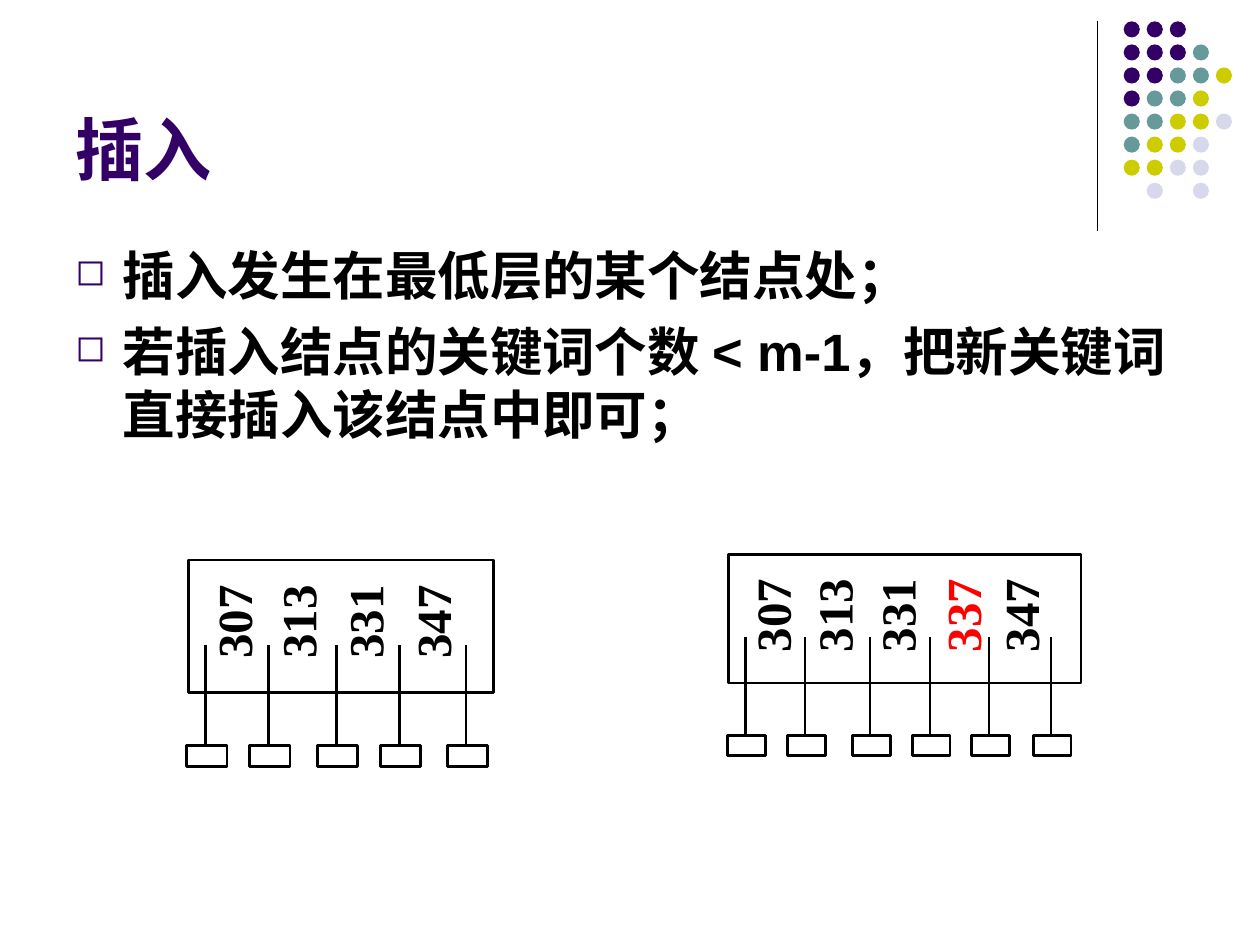
from dataclasses import dataclass

from lxml import etree
from pptx import Presentation
from pptx.dml.color import RGBColor
from pptx.enum import shapes, text
from pptx.oxml import ns
from pptx.util import Pt


@dataclass(frozen=True)
class Theme:
    ink: str = "000000"
    purple: str = "330066"
    teal: str = "669999"
    olive: str = "CCCC00"
    mist: str = "D8D8EC"
    new_key: str = "FF0000"
    sans: str = "Arial"
    serif: str = "Times New Roman"
    title_size: int = 39
    body_size: int = 30
    key_size: int = 28
    rule_width: float = 0.75
    node_width: float = 1.5


class SlideBuilder:
    def __init__(self, slide, theme):
        self.slide = slide
        self.theme = theme

    def dot(self, left, top, size, color):
        dot = self.slide.shapes.add_shape(
            shapes.MSO_SHAPE.OVAL, Pt(left), Pt(top), Pt(size), Pt(size))
        dot.shadow.inherit = False
        dot.fill.solid()
        dot.fill.fore_color.rgb = RGBColor.from_string(color)
        dot.line.fill.background()

    def line(self, start, end, width):
        line = self.slide.shapes.add_connector(
            shapes.MSO_CONNECTOR.STRAIGHT, *map(Pt, start + end))
        line.line.color.rgb = RGBColor.from_string(self.theme.ink)
        line.line.width = Pt(width)
        etree.SubElement(line._element.spPr, ns.qn("a:effectLst"))

    def turned_box(self, x, y, across, down):
        """Outlined box centred on (x, y), turned a quarter to the left."""
        box = self.slide.shapes.add_shape(
            shapes.MSO_SHAPE.RECTANGLE, Pt(x - down / 2), Pt(y - across / 2),
            Pt(down), Pt(across))
        box.rotation = 270
        box.shadow.inherit = False
        box.fill.background()
        box.line.color.rgb = RGBColor.from_string(self.theme.ink)
        box.line.width = Pt(self.theme.node_width)

    def text(self, left, top, width, height, lines, font, size, color):
        box = self.slide.shapes.add_textbox(
            Pt(left), Pt(top), Pt(width), Pt(height))
        frame = box.text_frame
        frame.word_wrap = True
        frame.text = "\n".join(lines)
        for paragraph in frame.paragraphs:
            for run in paragraph.runs:
                run.font.name = font
                run.font.size = Pt(size)
                run.font.bold = True
                run.font.color.rgb = RGBColor.from_string(color)
        return box

    def title(self, wording):
        heading = self.text(36, 9.4, 594, 102.2, [wording], self.theme.sans,
                            self.theme.title_size, self.theme.purple)
        heading.text_frame.vertical_anchor = text.MSO_ANCHOR.BOTTOM

    def bullets(self, points):
        body = self.text(36, 135.4, 648, 347, points, self.theme.sans,
                         self.theme.body_size, self.theme.ink)
        for paragraph in body.text_frame.paragraphs:
            paragraph.space_before = Pt(7.5)
            props = paragraph._p.get_or_add_pPr()
            props.set("marL", str(Pt(27)))
            props.set("indent", str(-Pt(27)))
            color = etree.SubElement(props, ns.qn("a:buClr"))
            etree.SubElement(color, ns.qn("a:srgbClr"), val=self.theme.purple)
            etree.SubElement(props, ns.qn("a:buSzPct"), val="70000")
            etree.SubElement(props, ns.qn("a:buChar"), char="◻")

    def key(self, x, y, length, depth, value, color):
        """Key centred on (x, y), reading upwards."""
        label = self.text(x - length / 2, y - depth / 2, length, depth, [value],
                          self.theme.serif, self.theme.key_size, color)
        label.rotation = 270
        frame = label.text_frame
        frame.margin_left = frame.margin_right = frame.margin_bottom = 0
        frame.margin_top = Pt(4.5)
        paragraph = frame.paragraphs[0]
        paragraph.alignment = text.PP_ALIGN.CENTER
        paragraph.line_spacing = 0.56
        paragraph.space_before = Pt(17.5)

    def node(self, center, size, stems, stem_top, leaf_top, leaf_size,
             keys, key_y, key_box, new_key=None):
        """B-tree node with its keys, pointers and empty leaves."""
        self.turned_box(*center, *size)
        for x in stems:
            self.turned_box(x + 0.8, leaf_top + leaf_size[1] / 2, *leaf_size)
            self.line((x, leaf_top), (x, stem_top), self.theme.node_width)
        for value, x in keys.items():
            color = self.theme.new_key if value == new_key else self.theme.ink
            self.key(x, key_y, *key_box, value, color)

    def dot_pattern(self, rows):
        colors = {"P": self.theme.purple, "T": self.theme.teal,
                  "O": self.theme.olive, "M": self.theme.mist}
        pitch = 13.17
        for row, marks in enumerate(rows):
            for column, mark in enumerate(marks):
                if mark in colors:
                    self.dot(642.1 + column * pitch, 12.2 + row * pitch, 9.2,
                             colors[mark])


def main():
    deck = Presentation()
    deck.slide_width, deck.slide_height = Pt(720), Pt(540)
    theme = Theme()
    builder = SlideBuilder(deck.slides.add_slide(deck.slide_layouts[6]), theme)

    builder.line((627, 12), (627, 132), theme.rule_width)
    builder.dot_pattern(
        ["PPP", "PPPT", "PPTTO", "PTTO", "TTOOM", "TOOM", "OOMM", ".M.M"])
    builder.title("插入")
    builder.bullets(["插入发生在最低层的某个结点处；",
                     "若插入结点的关键词个数 < m-1，把新关键词直接插入该结点中即可；"])

    builder.node(
        center=(517, 353.5), size=(201.6, 73.4),
        stems=[425.9, 460.1, 497.2, 531.4, 565.2, 600.5],
        stem_top=364.3, leaf_top=420.3, leaf_size=(21.6, 11.5),
        keys={"307": 441.7, "313": 477, "331": 513, "337": 550.4, "347": 583.6},
        key_y=351.7, key_box=(58.3, 18.7), new_key="337")
    builder.node(
        center=(194.8, 357.8), size=(174.2, 75.6),
        stems=[117.4, 153.4, 192.2, 228.2, 266.4],
        stem_top=368.6, leaf_top=426.1, leaf_size=(23, 11.8),
        keys={"307": 134.3, "313": 171, "331": 209.2, "347": 248},
        key_y=355.3, key_box=(59.8, 19.4))
    deck.save("out.pptx")


if __name__ == "__main__":
    main()
